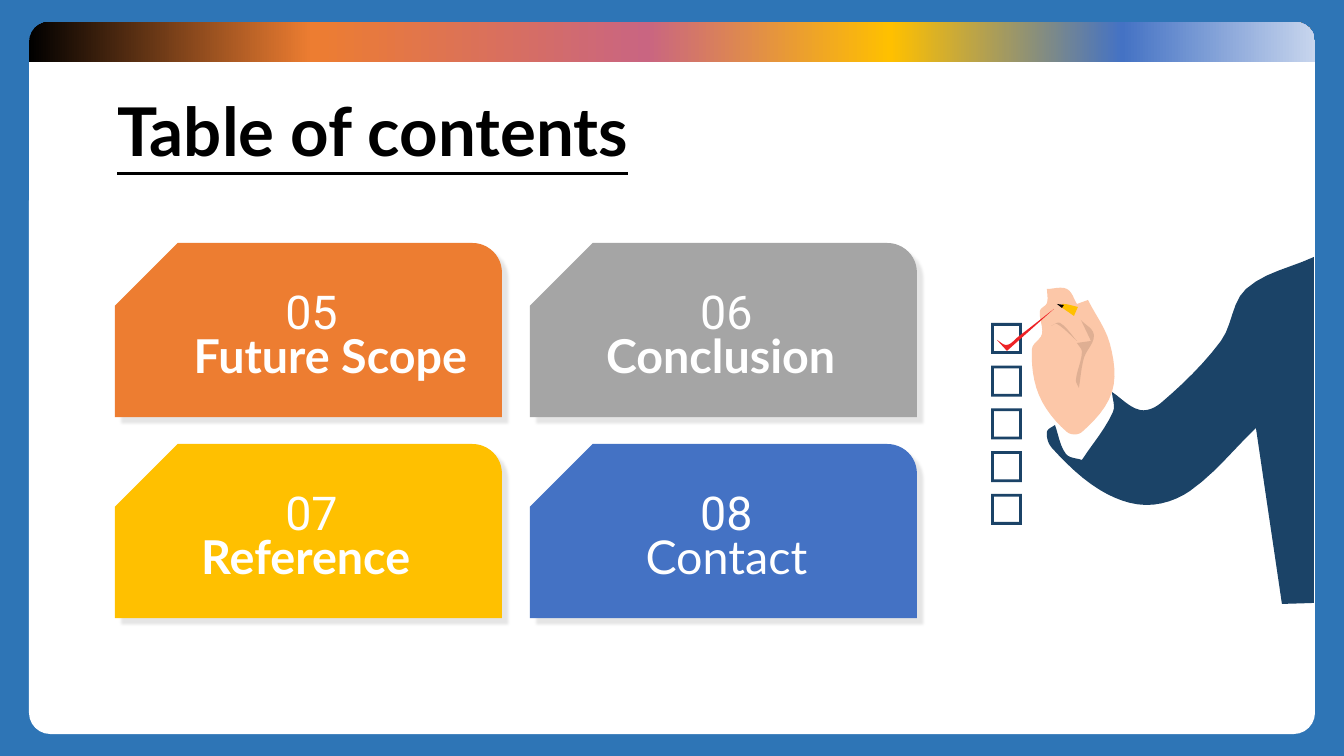
from lxml.etree import SubElement
from pptx import Presentation
from pptx.dml.color import RGBColor
from pptx.enum.shapes import MSO_SHAPE as SHAPE
from pptx.enum.text import MSO_ANCHOR as ANCHOR, PP_ALIGN as ALIGN
from pptx.oxml.ns import qn
from pptx.util import Emu, Pt

SLIDE_W, SLIDE_H = 1344, 756
PX = 12192000 / SLIDE_W

COLORS = {
    "border": "2E75B6", "white": "FFFFFF", "black": "000000",
    "orange": "ED7D31", "gray": "A5A5A5", "gold": "FFC000", "blue": "4472C4",
    "rose": "C96581", "pale": "C7D5ED", "navy": "1B4367", "skin": "FCC7A8",
    "crease": "DFAF93", "tick": "ED2225", "tip": "030201",
}

TITLE = "Table of contents"
# number, topic, fill, topic bold, topic box width
CARDS = [
    ("05", "Future Scope", "orange", True, 319),
    ("06", "Conclusion ", "gray", True, 281),
    ("07", "Reference ", "gold", True, 281),
    ("08", "Contact", "blue", False, 281),
]
BAND_STOPS = [(0, "black"), (22, "orange"), (48, "rose"), (67, "gold"),
              (85, "blue"), (100, "pale")]

CARD_LEFT, CARD_TOP, CARD_W, CARD_H = 115, 243, 387, 174
CARD_STEP_X, CARD_STEP_Y = 415, 201
LABEL_X, NUMBER_Y, TOPIC_Y, LABEL_W, LABEL_H = 56, 41, 85, 281, 43
BOX_LEFT, BOX_TOP, BOX_STEP, BOX_SIZE, BOX_COUNT = 991, 323, 42.7, 31, 5

# Outlines run smoothly through their points and break at sharp turns.
DRAWING = [
    ("navy", [
        (1314, 603), (1282, 604), (1256, 428), (1190, 491), (1146, 505),
        (1100, 490), (1052, 448), (1047, 432), (1055, 425), (1066, 454),
        (1082, 460), (1113, 412), (1112, 392), (1140, 410), (1161, 403),
        (1221, 341), (1246, 289), (1314, 257)]),
    ("skin", [
        (1112, 392), (1082, 432), (1067, 432), (1039, 395), (1032, 349),
        (1042, 334), (1040, 311), (1047, 303), (1047, 289), (1067, 289),
        (1077, 304), (1088, 300), (1110, 344)]),
    ("tick", [(1018, 337), (1054, 309), (1007, 351), (997, 340), (1007, 345)]),
    ("gold", [(1078, 307), (1074, 316), (1061, 307), (1063, 304)]),
    ("crease", [(1079, 388), (1076, 380), (1082, 352), (1077, 343), (1091, 341),
                (1081, 320), (1094, 335), (1084, 358)]),
    ("crease", [(1077, 341), (1057, 324), (1051, 326), (1060, 323)]),
    ("tip", [(1064, 305), (1062, 308), (1057, 304)]),
]


def px(value):
    return Emu(round(value * PX))


def rgb(name):
    return RGBColor.from_string(COLORS[name])


def paint(shape, color):
    """Plain fill with no outline and no shadow."""
    shape.shadow.inherit = False
    shape.line.fill.background()
    shape.fill.solid()
    shape.fill.fore_color.rgb = rgb(color)


def add_preset(shapes, kind, left, top, width, height, color, adjust=()):
    shape = shapes.add_shape(kind, px(left), px(top), px(width), px(height))
    for i, value in enumerate(adjust):
        shape.adjustments[i] = value
    paint(shape, color)
    return shape


def write(frame, text, *, font, size, color, bold=False, underline=False, align=ALIGN.LEFT):
    frame.word_wrap = True
    paragraph = frame.paragraphs[0]
    paragraph.alignment = align
    paragraph.line_spacing = 0.9
    run = paragraph.add_run()
    run.text = text
    run.font.name, run.font.size = font, Pt(size)
    run.font.bold, run.font.underline = bold, underline
    run.font.color.rgb = rgb(color)


def add_label(shapes, text, left, top, width, font, bold=False):
    box = shapes.add_textbox(px(left), px(top), px(width), px(LABEL_H))
    write(box.text_frame, text, font=font, size=33.3, color="white", bold=bold, align=ALIGN.CENTER)


def set_gradient(shape, stops):
    shape.fill.gradient()
    shape.fill.gradient_angle = 0
    stop_list = shape._element.spPr.find(".//" + qn("a:gsLst"))
    for old_stop in list(stop_list):
        stop_list.remove(old_stop)
    for percent, color in stops:
        stop = SubElement(stop_list, qn("a:gs"), pos=str(percent * 1000))
        SubElement(stop, qn("a:srgbClr"), val=COLORS[color])


def drop_shadow(shape):
    effects = shape._element.spPr.find(qn("a:effectLst"))
    shadow = SubElement(effects, qn("a:outerShdw"), blurRad=str(Pt(2)), dist=str(Pt(6)),
                        dir=str(45 * 60000), algn="tl", rotWithShape="0")
    tint = SubElement(shadow, qn("a:srgbClr"), val=COLORS["black"])
    SubElement(tint, qn("a:alpha"), val="10000")


def is_corner(before, point, after):
    into, out = point - before, after - point
    return (into * out.conjugate()).real < 0.3 * abs(into) * abs(out)


def smooth(points, steps=6):
    """Sample a closed Hermite curve through the points, keeping corners sharp."""
    knots = [complex(x, y) for x, y in points]
    curve = []
    for i, start in enumerate(knots):
        before, end, after = (knots[(i + k) % len(knots)] for k in (-1, 1, 2))
        leave = end - start if is_corner(before, start, end) else end - before
        arrive = end - start if is_corner(start, end, after) else after - start
        length = abs(end - start)
        leave, arrive = leave / abs(leave) * length, arrive / abs(arrive) * length
        for t in (step / steps for step in range(steps)):
            blend = t * t * (3 - 2 * t)
            spot = (start + blend * (end - start)
                    + t * (1 - t) * ((1 - t) * leave - t * arrive))
            curve.append((spot.real, spot.imag))
    return curve


def add_outline(shapes, points, color):
    start, *rest = [(px(x), px(y)) for x, y in smooth(points)]
    builder = shapes.build_freeform(*start)
    builder.add_line_segments(rest, close=True)
    paint(builder.convert_to_shape(), color)


def add_card(shapes, index, number, topic, color, bold, topic_width):
    row, column = divmod(index, 2)
    left, top = CARD_LEFT + column * CARD_STEP_X, CARD_TOP + row * CARD_STEP_Y
    card = add_preset(shapes, SHAPE.SNIP_ROUND_RECTANGLE, left, top, CARD_W, CARD_H,
                      color, (0.17, 0.36))
    card._element.spPr.find(qn("a:xfrm")).set("flipH", "1")
    drop_shadow(card)
    add_label(shapes, number, left + LABEL_X, top + NUMBER_Y, LABEL_W, "Roboto")
    add_label(shapes, topic, left + LABEL_X, top + TOPIC_Y, topic_width, "Lato", bold)


def main():
    deck = Presentation()
    deck.slide_width, deck.slide_height = px(SLIDE_W), px(SLIDE_H)
    slide = deck.slides.add_slide(deck.slide_layouts[5])
    slide.background.fill.solid()
    slide.background.fill.fore_color.rgb = rgb("border")
    shapes = slide.shapes

    add_preset(shapes, SHAPE.ROUNDED_RECTANGLE, 29, 24, 1286, 710, "white", (0.03,))
    band = add_preset(shapes, SHAPE.ROUND_2_SAME_RECTANGLE, 29, 22, 1286, 40, "white", (0.5, 0))
    set_gradient(band, BAND_STOPS)

    title = shapes.title
    title.left, title.top, title.width, title.height = map(px, (107, 82, 1131, 105))
    title.text_frame.vertical_anchor = ANCHOR.MIDDLE
    write(title.text_frame, TITLE, font="Lato", size=48, color="black", bold=True, underline=True)
    shapes._spTree.append(title._element)  # bring above the white panel

    for i in range(BOX_COUNT):
        add_preset(shapes, SHAPE.FRAME, BOX_LEFT, BOX_TOP + i * BOX_STEP,
                   BOX_SIZE, BOX_SIZE, "navy", (0.09,))
    for color, points in DRAWING:
        add_outline(shapes, points, color)
    for index, card in enumerate(CARDS):
        add_card(shapes, index, *card)

    deck.save("out.pptx")


if __name__ == "__main__":
    main()
